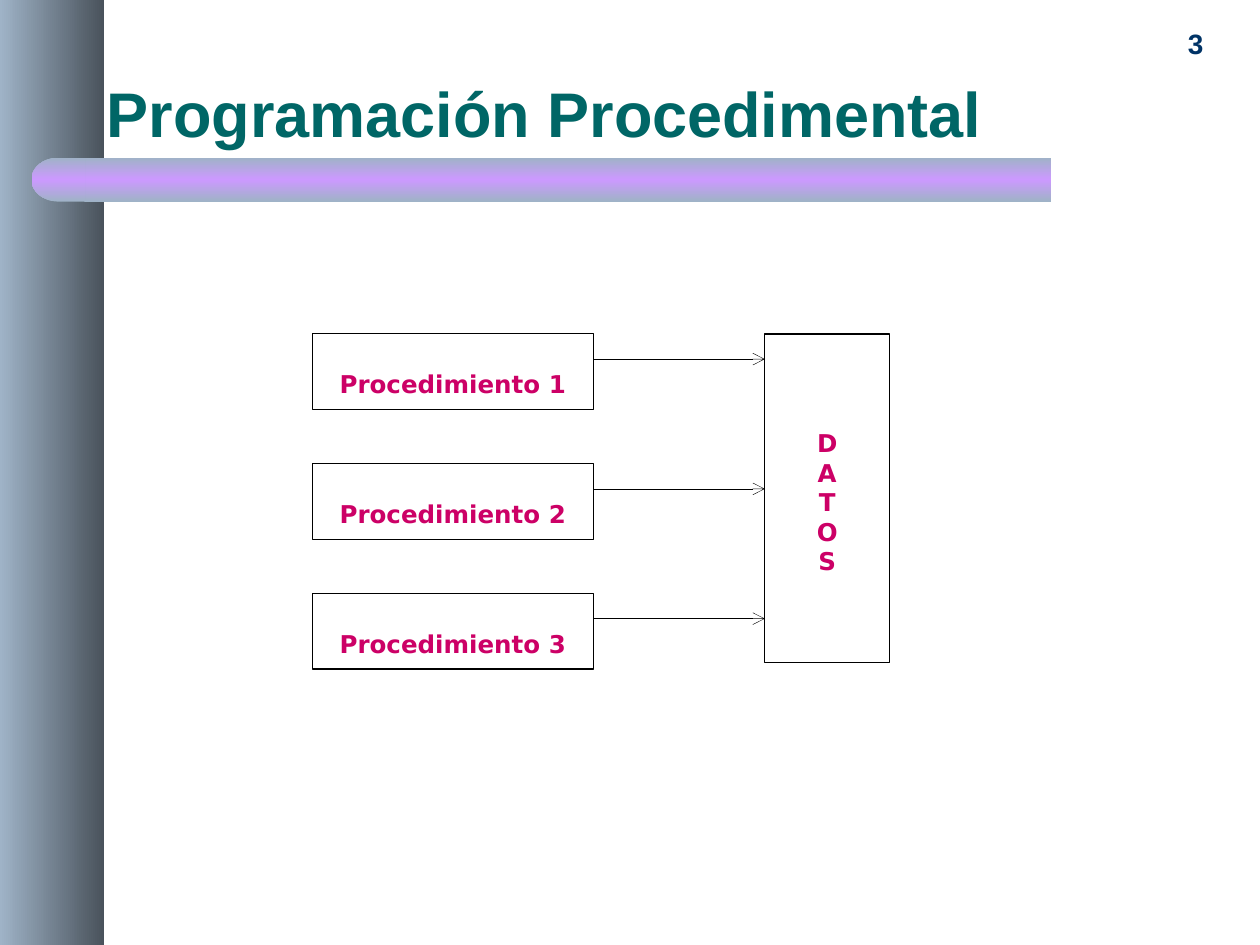
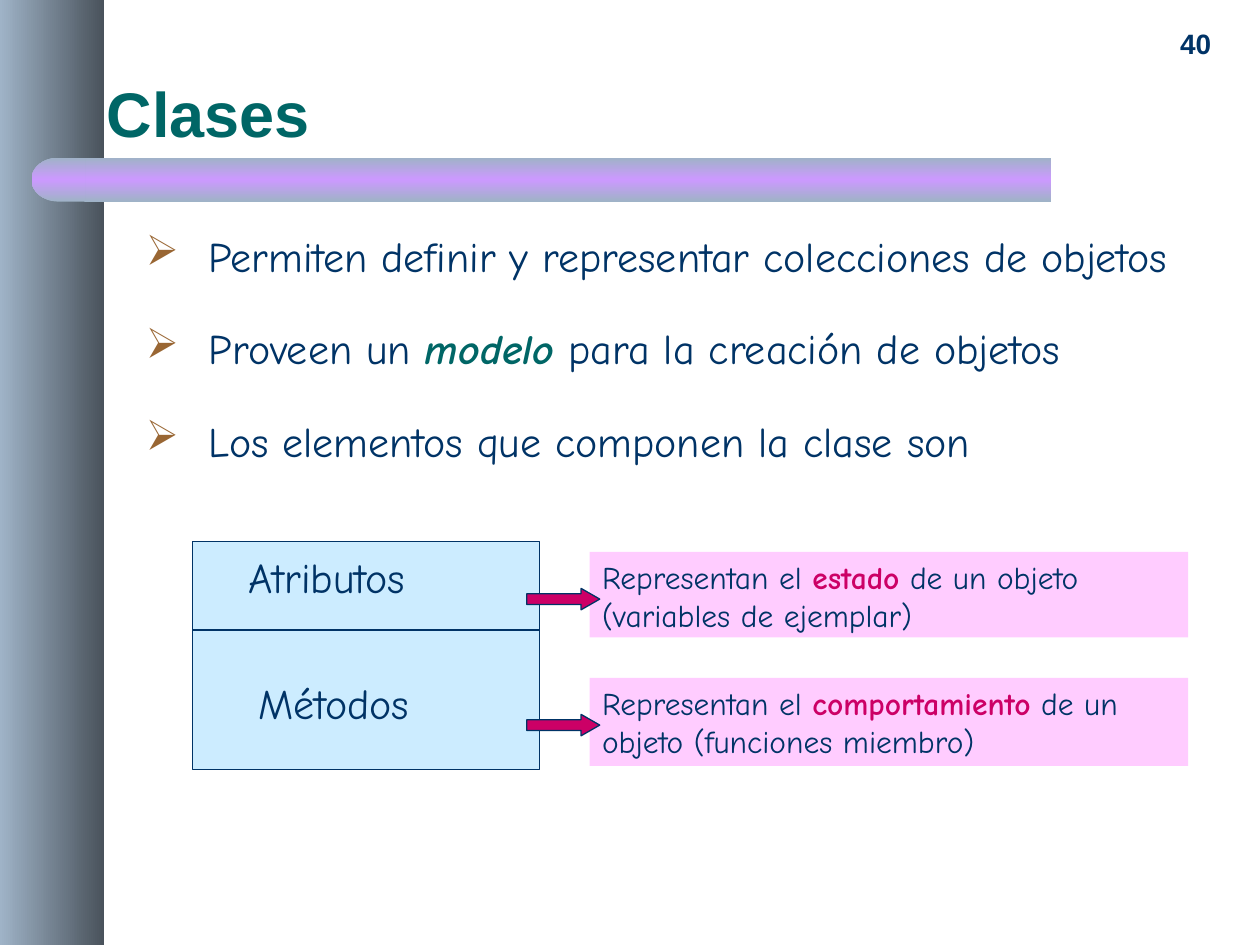
from lxml.etree import SubElement
from pptx import Presentation
from pptx.dml.color import RGBColor
from pptx.enum.shapes import MSO_CONNECTOR, MSO_SHAPE
from pptx.enum.text import MSO_ANCHOR, PP_ALIGN
from pptx.oxml.ns import qn
from pptx.util import Inches, Pt

WHITE = RGBColor(0xFF, 0xFF, 0xFF)
BLACK = RGBColor(0x00, 0x00, 0x00)
NAVY = RGBColor(0x00, 0x33, 0x66)
TEAL = RGBColor(0x00, 0x66, 0x66)
MAGENTA = RGBColor(0xCC, 0x00, 0x66)
BROWN = RGBColor(0x99, 0x66, 0x33)
SKY = RGBColor(0xCC, 0xEC, 0xFF)
PINK = RGBColor(0xFF, 0xCC, 0xFF)
STEEL = RGBColor(0x9F, 0xB3, 0xC7)
SLATE = RGBColor(0x49, 0x52, 0x5B)
VIOLET = RGBColor(0xCC, 0x99, 0xFF)

HEADING, BODY, DIAGRAM = "Arial", "Comic Neue", "DejaVu Sans"


class Deck:
    """Holds the shared style and the slide being built."""

    def __init__(self):
        self.presentation = Presentation()
        self.presentation.slide_width = Inches(10)
        self.presentation.slide_height = Inches(7.5)
        self.slide = None

    def new_slide(self, title, number):
        layout = self.presentation.slide_layouts[6]
        self.slide = self.presentation.slides.add_slide(layout)
        # Side band and title bar
        self.gradient(self.shape((0, 0, 0.83, 7.5)), [STEEL, SLATE], 0)
        bar_colors = [STEEL, VIOLET, STEEL]
        self.gradient(self.shape((0.67, 1.25, 7.67, 0.35)), bar_colors, 90)
        cap = self.shape((0.25, 1.25, 0.43, 0.35), kind=MSO_SHAPE.FLOWCHART_DELAY)
        cap.rotation = 180
        self.gradient(cap, bar_colors, 90)
        # Title and slide number
        heading = self.text((0.75, 0.58, 8.75, 0.67), [title], HEADING, 36, TEAL,
                            bold=True, anchor=MSO_ANCHOR.BOTTOM)
        heading.paragraphs[0].line_spacing = 0.9
        self.text((9.17, 0.16, 0.64, 0.37), [number], HEADING, 16, NAVY, bold=True,
                  align=PP_ALIGN.CENTER, anchor=MSO_ANCHOR.BOTTOM)

    def shape(self, box, fill=WHITE, line=None, kind=MSO_SHAPE.RECTANGLE):
        shape = self.slide.shapes.add_shape(kind, *map(Inches, box))
        shape.shadow.inherit = False
        shape.fill.solid()
        shape.fill.fore_color.rgb = fill
        if line is None:
            shape.line.fill.background()
        else:
            shape.line.color.rgb = line
            shape.line.width = Pt(0.75)
        return shape

    def gradient(self, shape, colors, angle):
        """Spread the colours evenly; the angle runs clockwise."""
        shape.fill.gradient()
        grad = shape._element.spPr.find(qn("a:gradFill"))
        for child in list(grad):
            grad.remove(child)
        stops = SubElement(grad, qn("a:gsLst"))
        for i, color in enumerate(colors):
            stop = SubElement(stops, qn("a:gs"), pos=str(100000 * i // (len(colors) - 1)))
            SubElement(stop, qn("a:srgbClr"), val=str(color))
        SubElement(grad, qn("a:lin"), ang=str(angle * 60000), scaled="0")

    def text(self, box, lines, *style, **options):
        textbox = self.slide.shapes.add_textbox(*map(Inches, box))
        return self.fill_text(textbox, lines, *style, **options)

    def fill_text(self, shape, lines, font, size, color, bold=False, align=PP_ALIGN.LEFT,
                  anchor=MSO_ANCHOR.TOP, top=0.05, bullet=None):
        """Each line is a string, or a list of strings and (string, colour, italic)."""
        frame = shape.text_frame
        frame.word_wrap = True
        frame.vertical_anchor = anchor
        frame.margin_top = Inches(top)
        for i, line in enumerate(lines):
            paragraph = frame.add_paragraph() if i else frame.paragraphs[0]
            paragraph.alignment = align
            if bullet:
                self.bullet(paragraph, bullet)
            paragraph.font.name = font
            paragraph.font.size = Pt(size)
            paragraph.font.bold = bold
            paragraph.font.color.rgb = color
            for part in [line] if isinstance(line, str) else line:
                run = paragraph.add_run()
                if isinstance(part, str):
                    run.text = part
                else:
                    run.text, run.font.color.rgb, run.font.italic = part
                    run.font.bold = True
        return frame

    def bullet(self, paragraph, mark):
        props = paragraph._p.get_or_add_pPr()
        props.set("marL", str(Inches(0.5)))
        props.set("indent", str(-Inches(0.5)))
        SubElement(SubElement(props, qn("a:buClr")), qn("a:srgbClr"), val=str(BROWN))
        SubElement(props, qn("a:buChar"), char=mark)

    def line(self, start, end, color, width, arrow=False):
        line = self.slide.shapes.add_connector(
            MSO_CONNECTOR.STRAIGHT, *map(Inches, (*start, *end)))
        line.line.color.rgb = color
        line.line.width = Pt(width)
        if arrow:
            SubElement(line.line._get_or_add_ln(), qn("a:tailEnd"), type="arrow")
        SubElement(line._element.spPr, qn("a:effectLst"))


def procedural_slide(deck):
    deck.new_slide("Programación Procedimental", "3")
    label = dict(bold=True, align=PP_ALIGN.CENTER)
    left, top, width, pitch, data_left = 2.48, 2.65, 2.23, 1.03, 6.07

    # Shared data
    data = deck.shape((data_left, top, 0.99, 2.61), line=BLACK)
    deck.fill_text(data, "DATOS", DIAGRAM, 14, MAGENTA, top=0.75, **label)

    # Procedures, each pointing at the data
    for i in range(3):
        y = top + i * pitch
        procedure = deck.shape((left, y, width, 0.6), line=BLACK)
        deck.fill_text(procedure, [f"Procedimiento {i + 1}"], DIAGRAM, 14, MAGENTA,
                       top=0.28, **label)
        deck.line((left + width, y + 0.2), (data_left, y + 0.2), BLACK, 0.25, arrow=True)


def classes_slide(deck):
    deck.new_slide("Clases", "40")

    # Statements
    statements = deck.text((1.06, 1.78, 8.5, 2.3), [
        "Permiten definir y representar colecciones de objetos",
        ["Proveen un ", ("modelo", TEAL, True), " para la creación de objetos"],
        "Los elementos que componen la clase son",
    ], BODY, 24, NAVY, bullet="➢")
    for paragraph in statements.paragraphs[1:]:
        paragraph.space_before = Pt(24)

    # Class box with its two compartments
    deck.shape((1.53, 4.3, 2.75, 1.81), SKY, NAVY)
    deck.line((1.53, 5), (4.28, 5), NAVY, 0.75)
    deck.text((1.87, 4.33, 2.08, 0.5), ["Atributos"], BODY, 24, NAVY)
    deck.text((1.95, 5.33, 2.08, 0.5), ["Métodos"], BODY, 24, NAVY)

    # Explanation of each compartment
    state = [["Representan el ", ("estado", MAGENTA, False), " de un objeto"],
             "(variables de ejemplar)"]
    behaviour = [["Representan el ", ("comportamiento", MAGENTA, False),
                  " de un objeto (funciones miembro)"]]
    for y, height, explanation in ((4.38, 0.68, state), (5.38, 0.7, behaviour)):
        note = deck.shape((4.68, y, 4.75, height), PINK)
        frame = deck.fill_text(note, explanation, BODY, 18, NAVY)
        for paragraph in frame.paragraphs[1:]:
            paragraph.line_spacing = 0.4
            paragraph.space_before = Pt(11.2)
        arrow = deck.shape((4.18, y + 0.29, 0.58, 0.17), MAGENTA, NAVY,
                           MSO_SHAPE.RIGHT_ARROW)
        arrow.adjustments[1] = 0.87


def main():
    deck = Deck()
    procedural_slide(deck)
    classes_slide(deck)
    deck.presentation.save("out.pptx")


if __name__ == "__main__":
    main()
